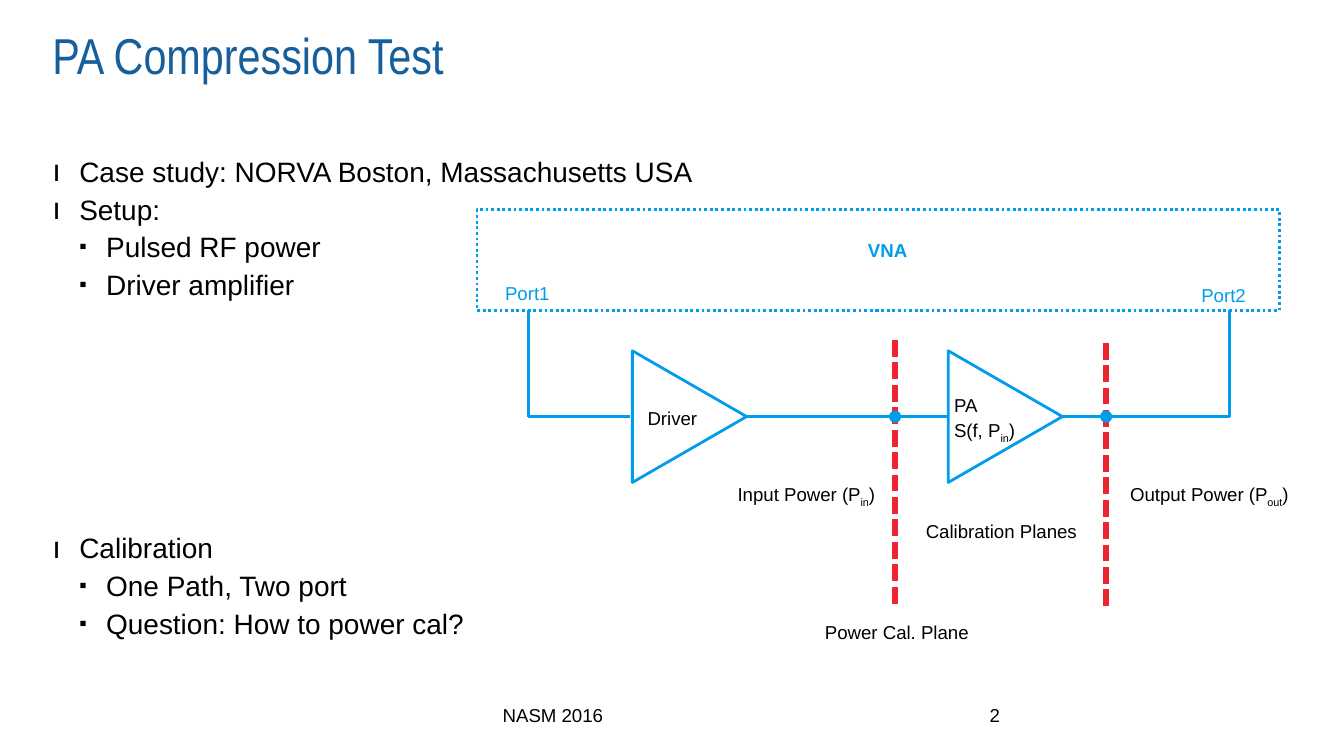
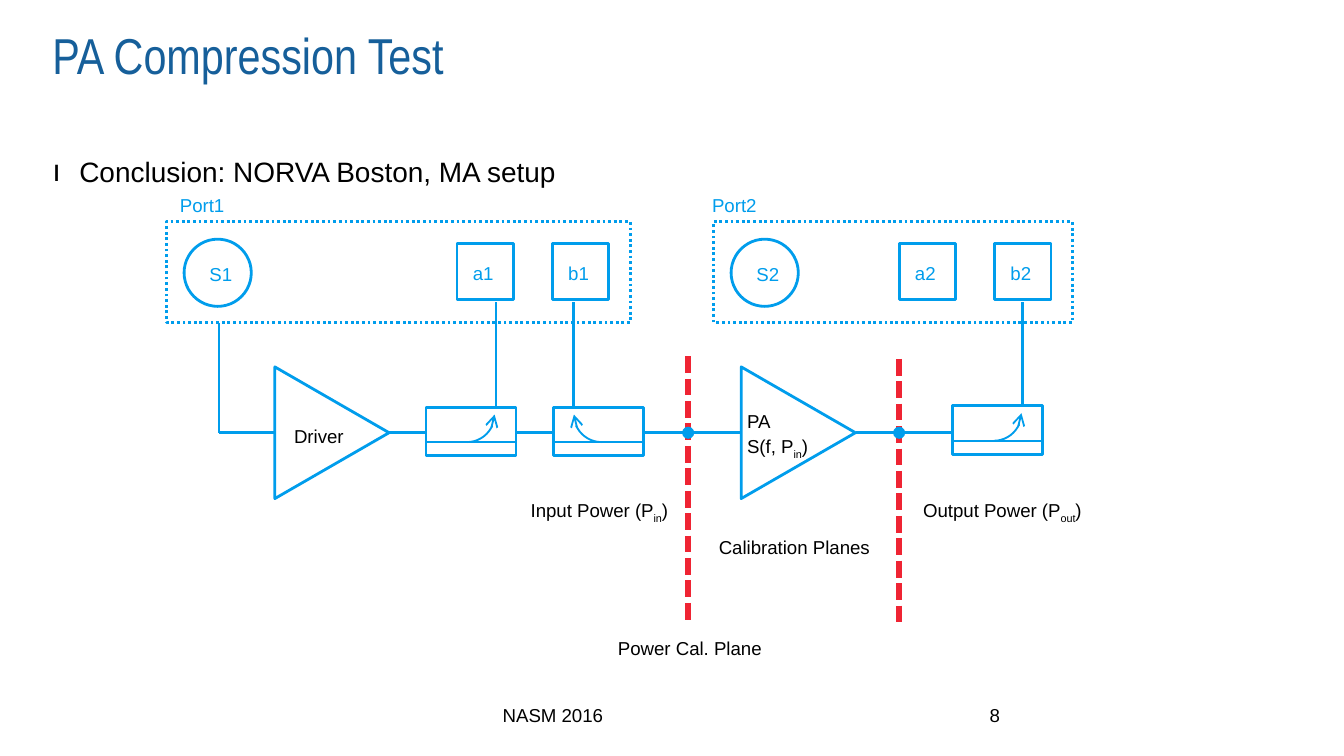
import pptx
import pptx.dml.color
import pptx.enum.dml
import pptx.enum.shapes
import pptx.enum.text
import pptx.oxml.ns
import pptx.util
from lxml import etree

Inches = pptx.util.Inches
Pt = pptx.util.Pt
RGBColor = pptx.dml.color.RGBColor
SHAPE = pptx.enum.shapes.MSO_SHAPE
DASH = pptx.enum.dml.MSO_LINE
ALIGN = pptx.enum.text.PP_ALIGN
qn = pptx.oxml.ns.qn

BLACK = RGBColor(0, 0, 0)
WHITE = RGBColor(0xFF, 0xFF, 0xFF)
TITLE_BLUE = RGBColor(0x16, 0x5F, 0x9A)
BLUE = RGBColor(0x00, 0x9D, 0xEC)
RED = RGBColor(0xEF, 0x24, 0x33)

LINE_SPACING = 1.12
BULLETS = [("ı", 110), ("▪", 75)]  # character and size in percent, by level
AMP_W, AMP_H = 0.85, 0.98
PLANE_GAP = 1.57


def style_font(r, size, color=BLACK, name="Arial", bold=False):
    r.font.size = Pt(size)
    r.font.color.rgb = color
    r.font.name = name
    r.font.bold = bold


def add_box(s, x, y, w, h, margins=(0, 0)):
    tf = s.shapes.add_textbox(Inches(x), Inches(y), Inches(w), Inches(h)).text_frame
    tf.word_wrap = True
    tf.margin_left = tf.margin_right = Inches(margins[0])
    tf.margin_top = tf.margin_bottom = Inches(margins[1])
    return tf


def add_line_of_text(s, text, x, y, w, h, size, color=BLACK, name="Arial", align=ALIGN.LEFT):
    p = add_box(s, x, y, w, h).paragraphs[0]
    p.text = text
    p.alignment = align
    style_font(p.runs[0], size, color, name)


def add_label(s, text, x, y, w, h=0.28, color=BLACK, bold=False):
    """Add a diagram label; text between underscores is set as subscript."""
    p = add_box(s, x, y, w, h, (0.1, 0.05)).paragraphs[0]
    p.line_spacing = LINE_SPACING
    p.space_after = Pt(6)
    for line_no, line in enumerate(text.split("\n")):
        if line_no:
            p.add_line_break()
        for i, part in enumerate(line.split("_")):
            r = p.add_run()
            r.text = part
            style_font(r, 10, color, bold=bold)
            if i % 2:
                r.font._element.set("baseline", "-25000")


def add_bullets(s, items):
    """Add the body text from (level, text, points before) items."""
    tf = add_box(s, 0.39, 1.12, 9.06, 3.81)
    for i, (level, text, before) in enumerate(items):
        p = tf.add_paragraph() if i else tf.paragraphs[0]
        p.text = text
        p.level = level
        p.line_spacing = LINE_SPACING
        p.space_before = Pt(before)
        style_font(p.runs[0], 15)
        char, percent = BULLETS[level]
        pPr = p._p.get_or_add_pPr()
        pPr.set("marL", str(Inches(0.2 * (level + 1))))
        pPr.set("indent", str(Inches(-0.2)))
        etree.SubElement(pPr, qn("a:buSzPct")).set("val", str(percent * 1000))
        etree.SubElement(pPr, qn("a:buFont")).set("typeface", "Arial")
        etree.SubElement(pPr, qn("a:buChar")).set("char", char)


def add_wire(s, x1, y1, x2, y2, color=BLUE, width=1.5, dash=None):
    c = s.shapes.add_connector(pptx.enum.shapes.MSO_CONNECTOR.STRAIGHT,
                               Inches(x1), Inches(y1), Inches(x2), Inches(y2))
    c.line.color.rgb = color
    c.line.width = Pt(width)
    if dash:
        c.line.dash_style = dash
    etree.SubElement(c._element.spPr, qn("a:effectLst"))


def add_outline(s, kind, x, y, w, h, width=1.5, fill=None, dash=None):
    sp = s.shapes.add_shape(kind, Inches(x), Inches(y), Inches(w), Inches(h))
    sp.shadow.inherit = False
    if fill is None:
        sp.fill.background()
    else:
        sp.fill.solid()
        sp.fill.fore_color.rgb = fill
    sp.line.color.rgb = BLUE
    sp.line.width = Pt(width)
    if dash:
        sp.line.dash_style = dash
    return sp


def add_amplifier(s, cx, cy):
    """Add a triangle that points right, centred on (cx, cy)."""
    sp = add_outline(s, SHAPE.ISOSCELES_TRIANGLE, cx - AMP_H / 2, cy - AMP_W / 2,
                     AMP_H, AMP_W, fill=WHITE)
    sp.rotation = 90


def add_node(s, cx, cy):
    sp = add_outline(s, SHAPE.OVAL, cx - 0.045, cy - 0.045, 0.09, 0.09, fill=BLUE)
    sp.line.fill.background()


def add_coupler(s, x, y, mirrored=False):
    add_outline(s, SHAPE.RECTANGLE, x, y, 0.67, 0.36)
    add_wire(s, x, y + 0.26, x + 0.67, y + 0.26, width=1)
    arc = add_outline(s, SHAPE.ARC, x + (0.15 if mirrored else 0.1), y - 0.15,
                      0.41, 0.41, width=1)
    xfrm = arc._element.spPr.find(qn("a:xfrm"))
    xfrm.set("flipV", "1")
    if mirrored:
        xfrm.set("flipH", "1")
    ln = arc.line._get_or_add_ln()
    etree.SubElement(ln, qn("a:tailEnd")).set("type", "arrow")


def add_port(s, number, x, w, label_x):
    """Add a port box with its source and its two receivers."""
    add_label(s, f"Port{number}", label_x, 1.37, 0.61, color=BLUE)
    add_outline(s, SHAPE.RECTANGLE, x, 1.65, w, 0.75, dash=DASH.ROUND_DOT)
    add_outline(s, SHAPE.OVAL, x + 0.13, 1.78, 0.5, 0.5)
    add_label(s, f"S{number}", x + 0.22, 1.89, 0.4, color=BLUE)
    for name, from_right in (("a", 1.29), ("b", 0.58)):
        left = x + w - from_right
        add_outline(s, SHAPE.RECTANGLE, left, 1.81, 0.42, 0.42)
        add_label(s, f"{name}{number}", left + 0.02, 1.88, 0.4, color=BLUE)


def add_pa_stage(s, x, y, wire_start, wire_end):
    """Add the PA between its calibration planes; the input plane is at x, the signal at y."""
    add_amplifier(s, x + 0.82, y)
    add_label(s, "PA\nS(f, P_in_)", x + 0.34, y - 0.24, 0.81, 0.48)
    add_wire(s, wire_start, y, x + 0.39, y)
    add_wire(s, x + 1.25, y, wire_end, y)
    for plane_x, top in ((x, y - 0.57), (x + PLANE_GAP, y - 0.55)):
        add_wire(s, plane_x, top, plane_x, top + 1.99, RED, 3, DASH.SQUARE_DOT)
        add_node(s, plane_x, y)
    add_label(s, "Input Power (P_in_)", x - 1.27, y + 0.42, 1.3)
    add_label(s, "Output Power (P_out_)", x + 1.65, y + 0.42, 1.68)
    add_label(s, "Calibration Planes", x + 0.13, y + 0.7, 1.4)
    add_label(s, "Power Cal. Plane", x - 0.62, y + 1.45, 1.3)


def add_slide(prs, number, bullets):
    s = prs.slides.add_slide(prs.slide_layouts[6])
    add_line_of_text(s, "PA Compression Test", 0.39, 0.18, 9.06, 0.89, 27,
                     TITLE_BLUE, "Arial Narrow")
    add_bullets(s, bullets)
    add_line_of_text(s, "NASM 2016", 3.74, 5.24, 3.15, 0.15, 10)
    add_line_of_text(s, str(number), 6.89, 5.24, 0.55, 0.15, 10, align=ALIGN.RIGHT)
    return s


def build_setup(prs):
    s = add_slide(prs, 2, [
        (0, "Case study: NORVA Boston, Massachusetts USA", 0),
        (0, "Setup:", 0),
        (1, "Pulsed RF power", 0),
        (1, "Driver amplifier", 0),
        (0, "Calibration", 121),
        (1, "One Path, Two port", 0),
        (1, "Question: How to power cal?", 0),
    ])
    signal_y = 3.1
    add_outline(s, SHAPE.RECTANGLE, 3.55, 1.56, 5.97, 0.75, dash=DASH.ROUND_DOT)
    add_label(s, "VNA", 6.36, 1.71, 0.61, color=BLUE, bold=True)
    add_label(s, "Port1", 3.66, 2.03, 0.61, color=BLUE)
    add_label(s, "Port2", 8.84, 2.04, 0.61, color=BLUE)
    for x in (3.93, 9.15):
        add_wire(s, x, 2.31, x, signal_y)
    add_wire(s, 3.93, signal_y, 4.69, signal_y)
    add_pa_stage(s, 6.66, signal_y, 5.56, 9.15)
    add_amplifier(s, 5.13, signal_y)
    add_label(s, "Driver", 4.72, 2.96, 0.81, 0.24)


def build_conclusion(prs):
    s = add_slide(prs, 8, [(0, "Conclusion: NORVA Boston, MA setup", 0)])
    signal_y = 3.22
    add_port(s, 1, 1.24, 3.45, 1.24)
    add_port(s, 2, 5.31, 2.67, 5.2)
    add_wire(s, 1.63, 2.4, 1.63, signal_y)
    for x1, x2 in ((1.63, 2.05), (2.89, 3.17), (3.84, 4.12)):
        add_wire(s, x1, signal_y, x2, signal_y)
    add_pa_stage(s, 5.12, signal_y, 4.79, 7.09)
    add_amplifier(s, 2.47, signal_y)
    add_label(s, "Driver", 2.09, 3.09, 0.6, 0.24)
    add_coupler(s, 3.17, 3.03)
    add_coupler(s, 4.12, 3.03, mirrored=True)
    add_coupler(s, 7.09, 3.02)
    for x in (3.69, 4.27, 7.61):
        add_wire(s, x, 2.25, x, 3.02)


def main():
    prs = pptx.Presentation()
    prs.slide_width = Inches(10)
    prs.slide_height = Inches(10 * 9 / 16)
    build_setup(prs)
    build_conclusion(prs)
    prs.save("out.pptx")


if __name__ == "__main__":
    main()
